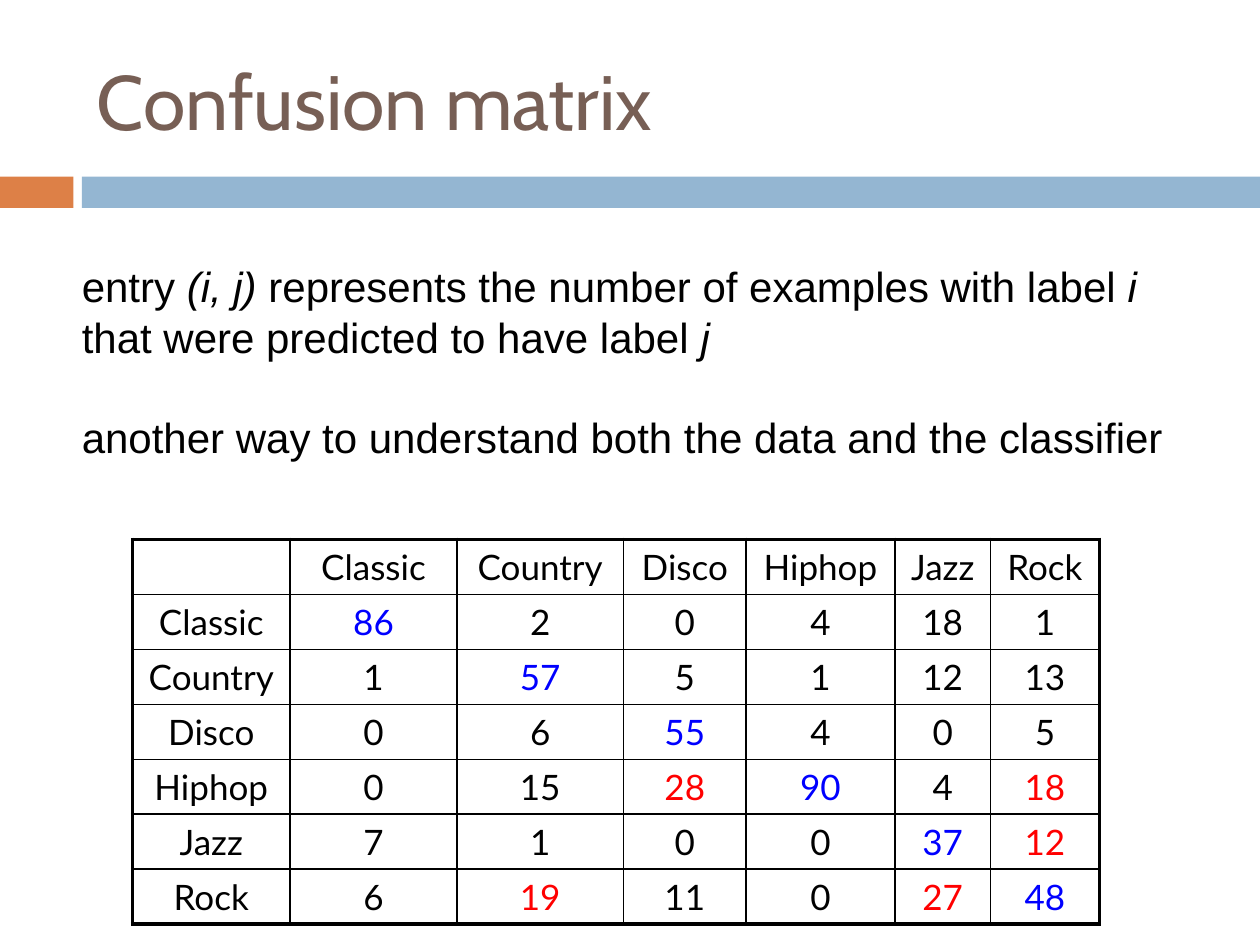
from lxml.etree import SubElement
from pptx import Presentation
from pptx.dml.color import RGBColor
from pptx.enum.shapes import MSO_SHAPE
from pptx.enum.text import MSO_ANCHOR, PP_ALIGN
from pptx.oxml.ns import qn
from pptx.util import Cm, Pt

COLORS = {"title": "775F55", "orange": "DD8047", "band": "94B6D2",
          "text": "000000", "correct": "0000FF", "confused": "FF0000"}
GENRES = ["Classic", "Country", "Disco", "Hiphop", "Jazz", "Rock"]
COUNTS = [
    [86, 2, 0, 4, 18, 1],
    [1, 57, 5, 1, 12, 13],
    [0, 6, 55, 4, 0, 5],
    [0, 15, 28, 90, 4, 18],
    [7, 1, 0, 0, 37, 12],
    [6, 19, 11, 0, 27, 48],
]
CONFUSED = {(4, 3), (4, 6), (5, 6), (6, 2), (6, 5)}
COLUMN_WIDTHS = [3.18, 3.36, 3.36, 2.47, 3, 1.93, 2.19]


def style(span, font, size, color):
    span.font.name = font
    span.font.size = Pt(size)
    span.font.color.rgb = RGBColor.from_string(COLORS[color])


def set_border(cell, side, width):
    """Draw one side (L, R, T or B) of a table cell."""
    line = SubElement(cell._tc.get_or_add_tcPr(), qn(f"a:ln{side}"), w=str(Pt(width)))
    fill = SubElement(line, qn("a:solidFill"))
    SubElement(fill, qn("a:srgbClr"), val=COLORS["text"])


deck = Presentation()
deck.slide_width, deck.slide_height = Cm(25.4), Cm(19.05)
slide = deck.slides.add_slide(deck.slide_layouts[5])

# Title and the two-coloured band below it
title = slide.shapes.title
title.left, title.top, title.width, title.height = Cm(1.7), Cm(0.64), Cm(22.66), Cm(2.74)
title.text_frame.text = "Confusion matrix"
title.text_frame.vertical_anchor = MSO_ANCHOR.MIDDLE
title.text_frame.paragraphs[0].alignment = PP_ALIGN.LEFT
style(title.text_frame.paragraphs[0].runs[0], "Cabin", 44, "title")

for left, width, color in [(0, 1.48, "orange"), (1.65, 23.75, "band")]:
    bar = slide.shapes.add_shape(MSO_SHAPE.RECTANGLE, Cm(left), Cm(3.56), Cm(width), Cm(0.63))
    bar.shadow.inherit = False
    bar.fill.solid()
    bar.fill.fore_color.rgb = RGBColor.from_string(COLORS[color])
    bar.line.fill.background()

# Confusion matrix
rows = [["", *GENRES]] + [[genre, *counts] for genre, counts in zip(GENRES, COUNTS)]
last = len(GENRES)
table = slide.shapes.add_table(len(rows), len(rows[0]), Cm(2.67), Cm(10.87),
                               Cm(sum(COLUMN_WIDTHS)), Cm(1.1 * len(rows))).table
table.first_row = table.horz_banding = False
for column, width in zip(table.columns, COLUMN_WIDTHS):
    column.width = Cm(width)

for i, row in enumerate(rows):
    for j, value in enumerate(row):
        cell = table.cell(i, j)
        cell.text_frame.text = str(value)
        para = cell.text_frame.paragraphs[0]
        para.alignment = PP_ALIGN.CENTER
        para.font.size = Pt(20)
        color = "confused" if (i, j) in CONFUSED else "correct" if i == j else "text"
        for span in para.runs:
            style(span, "Lato", 20, color)
        outer_sides = {"L": j == 0, "R": j == last, "T": i == 0, "B": i == last}
        for side, is_outer in outer_sides.items():
            set_border(cell, side, 2.25 if is_outer else 1)
        cell.fill.background()

# Explanation; the second item of each pair marks italics
explanation = [
    [("entry ", False), ("(i, j)", True),
     (" represents the number of examples with label ", False), ("i", True),
     (" that were predicted to have label ", False), ("j", True)],
    [("another way to understand both the data and the classifier", False)],
]
box = slide.shapes.add_textbox(Cm(1.4), Cm(5.13), Cm(22.66), Cm(4.37))
frame = box.text_frame
frame.word_wrap = True
for index, pieces in enumerate(explanation):
    para = frame.add_paragraph() if index else frame.paragraphs[0]
    para.line_spacing = Pt(28.8)
    para.space_before = Pt(28.8 * index)
    for text, italic in pieces:
        span = para.add_run()
        span.text = text
        span.font.italic = italic
        style(span, "Arial", 24, "text")

deck.save("out.pptx")
